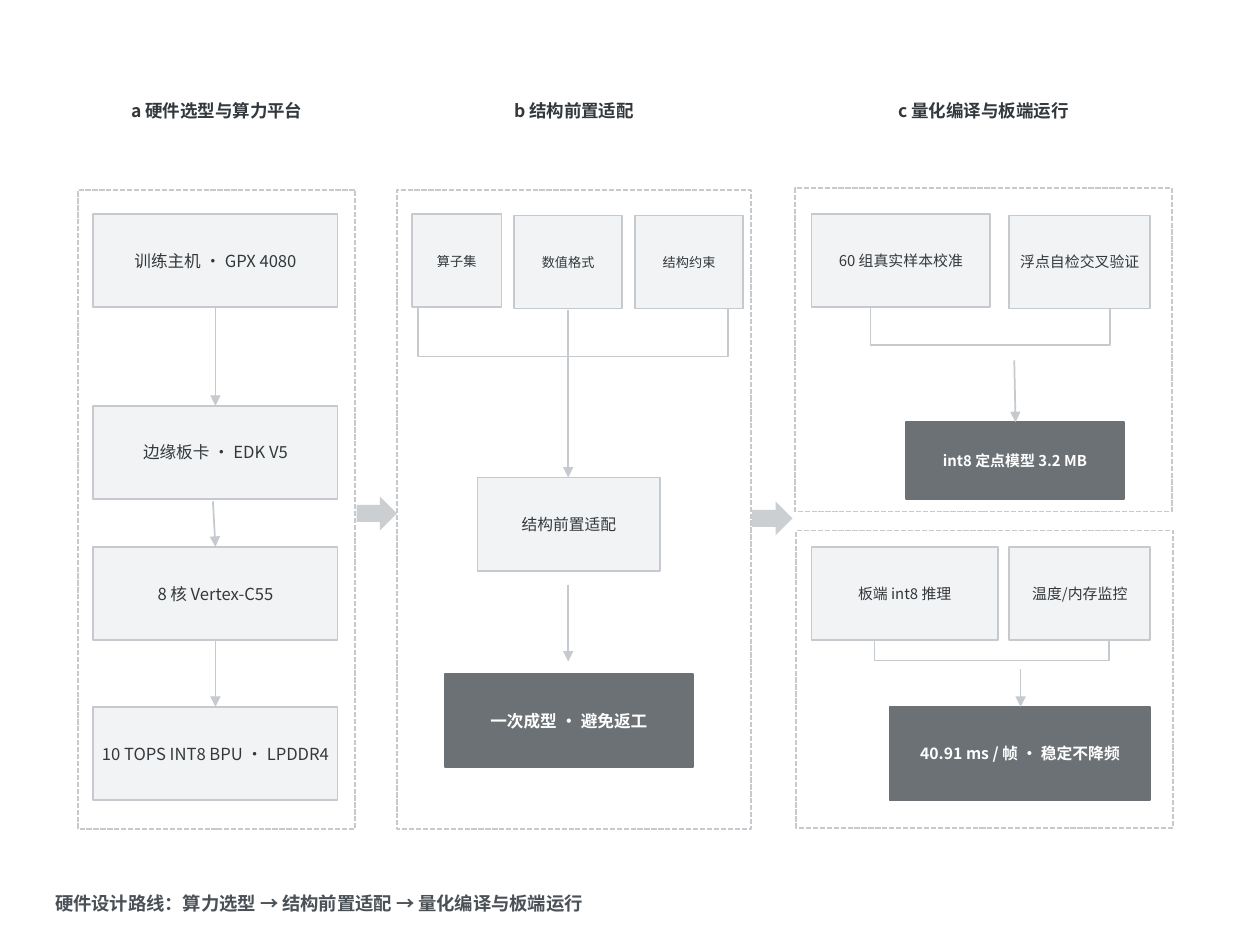
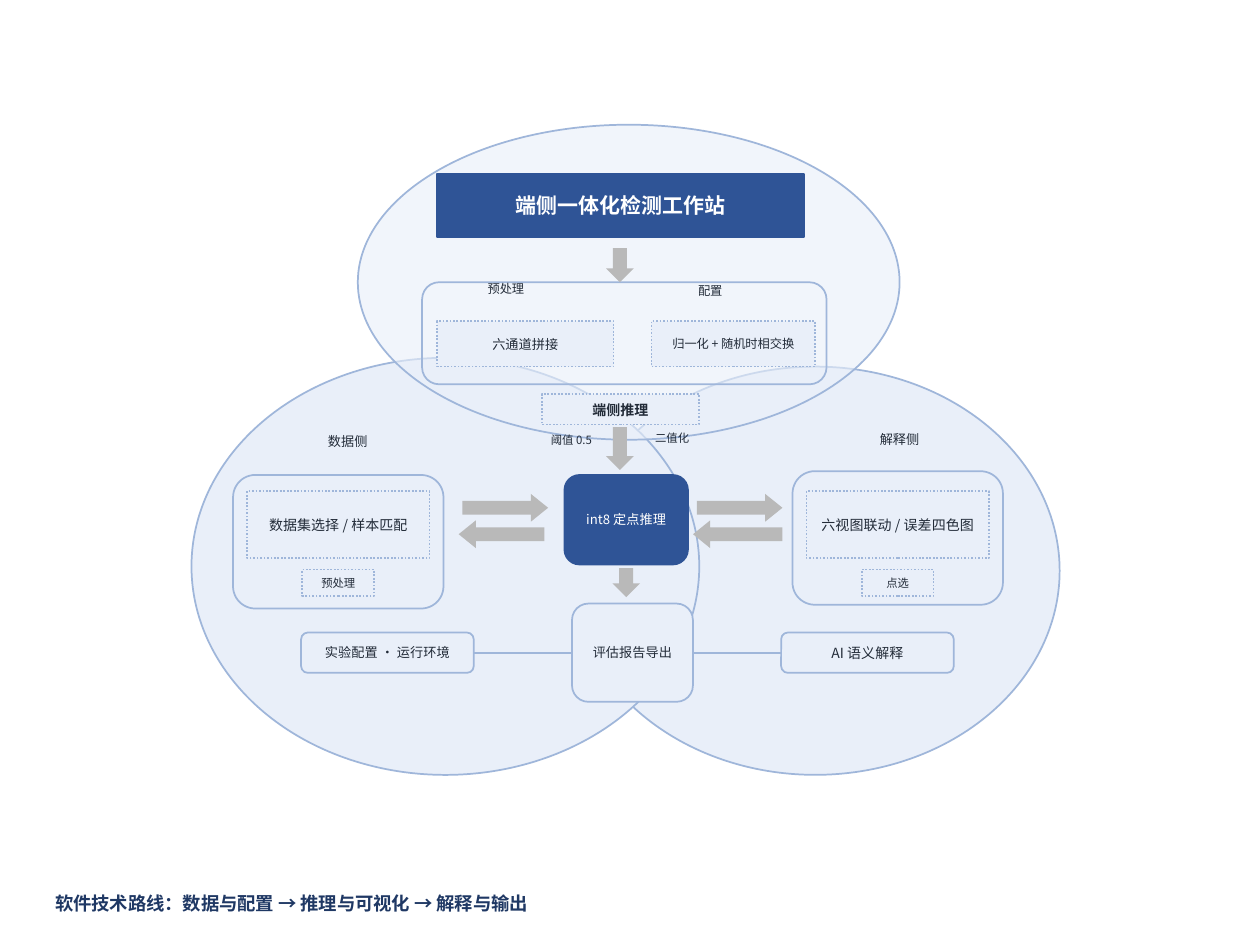
from collections import namedtuple

import pptx
import pptx.dml.color
import pptx.enum.dml
import pptx.enum.shapes
import pptx.enum.text
import pptx.oxml
import pptx.oxml.ns
import pptx.util
from lxml import etree

Inches = pptx.util.Inches
KIND = pptx.enum.shapes.MSO_SHAPE
CONNECTOR = pptx.enum.shapes.MSO_CONNECTOR
DASH = pptx.enum.dml.MSO_LINE
ALIGN = pptx.enum.text.PP_ALIGN
ANCHOR = pptx.enum.text.MSO_ANCHOR
qn = pptx.oxml.ns.qn

FONT = "Noto Sans CJK SC"
GREY_LINE, GREY_INK, GREY_ARROW = "C6CACE", "33383C", "CBCFD2"
BLUE_LINE, BLUE_INK, BLUE_ARROW = "9FB6DA", "222B38", "B9B9B9"
PALE_BLUE = "E9EFF9"

Style = namedtuple("Style", "fill line dash ink bold", defaults=(None, None, None, "FFFFFF", False))
STEP = Style("F2F3F4", GREY_LINE, ink=GREY_INK)
RESULT = Style("6B7175", "6B7175", bold=True)
FRAME = Style(line=GREY_LINE, dash=DASH.SQUARE_DOT)
BANNER = Style("2F5496", "2F5496", bold=True)
CORE = Style("2F5496", "2F5496")
AREA = Style(PALE_BLUE, BLUE_LINE, ink=BLUE_INK)
OUTLINE = Style(line=BLUE_LINE, ink=BLUE_INK)
DETAIL = Style(PALE_BLUE, BLUE_LINE, DASH.ROUND_DOT, BLUE_INK)
GREY_FLOW = Style(GREY_ARROW)
BLUE_FLOW = Style(BLUE_ARROW)


def colour(value):
    return pptx.dml.color.RGBColor.from_string(value)


def write(frame, text, size, ink, bold=False, align=ALIGN.CENTER, inset=(0, 0)):
    frame.word_wrap = True
    frame.margin_left = frame.margin_right = Inches(inset[0])
    frame.margin_top = frame.margin_bottom = Inches(inset[1])
    frame.text = text
    para = frame.paragraphs[0]
    para.alignment = align
    span = para.runs[0]
    span.font.size = pptx.util.Pt(size)
    span.font.bold = bold
    span.font.name = FONT
    span.font.color.rgb = colour(ink)
    etree.SubElement(span.font._element, qn("a:ea"), typeface=FONT)


def place(origin, box):
    """Turn a box relative to origin into slide lengths."""
    left, top, width, height = box
    return [Inches(n) for n in (origin[0] + left, origin[1] + top, width, height)]


def add_block(page, kind, origin, box, style, text=None, size=None):
    block = page.shapes.add_shape(kind, *place(origin, box))
    block.shadow.inherit = False
    if style.fill:
        block.fill.solid()
        block.fill.fore_color.rgb = colour(style.fill)
    else:
        block.fill.background()
    if style.line:
        block.line.color.rgb = colour(style.line)
        block.line.width = pptx.util.Pt(1)
        if style.dash:
            block.line.dash_style = style.dash
    else:
        block.line.fill.background()
    if text:
        block.text_frame.vertical_anchor = ANCHOR.MIDDLE
        write(block.text_frame, text, size, style.ink, style.bold)
    return block


def add_label(page, origin, box, text, size, ink, **options):
    label = page.shapes.add_textbox(*place(origin, box))
    write(label.text_frame, text, size, ink, **options)


def add_line(page, origin, start, end, ink, arrow=False, kind=CONNECTOR.STRAIGHT):
    points = [Inches(origin[i] + point[i]) for point in (start, end) for i in (0, 1)]
    line = page.shapes.add_connector(kind, *points)
    line.line.color.rgb = colour(ink)
    line.line.width = pptx.util.Pt(1)
    if arrow:
        etree.SubElement(line.line._get_or_add_ln(), qn("a:tailEnd"), type="triangle")
    etree.SubElement(line._element.spPr, qn("a:effectLst"))
    return line


def add_bracket(page, origin, left, right, top, drop):
    """Join two boxes from below: an elbow connector turned a quarter."""
    depth = 0.01
    middle, half = (left + right) / 2, (right - left) / 2
    bracket = add_line(page, origin, (middle - depth / 2, top + half),
                       (middle + depth / 2, top - half), GREY_LINE, kind=CONNECTOR.ELBOW)
    properties = bracket._element.spPr
    properties.find(qn("a:xfrm")).set("rot", str(90 * 60000))
    etree.SubElement(properties.find(".//" + qn("a:avLst")), qn("a:gd"),
                     name="adj1", fmla=f"val {round(drop / depth * 100000)}")


def add_caption(page, text, ink):
    add_label(page, (0, 0), (0.34, 7.03, 9.32, 0.34), text, 10.5, ink,
              bold=True, align=ALIGN.LEFT, inset=(0.1, 0.05))


def add_stage(page, origin, width, height, heading=None):
    add_block(page, KIND.RECTANGLE, origin, (0, 0, width, height), FRAME)
    if heading:
        add_label(page, (origin[0], 0.79), (0, 0, width, 0.6), heading, 10, GREY_INK, bold=True)


def add_steps(page, origin, steps, style=STEP):
    for box, text, size in steps:
        add_block(page, KIND.RECTANGLE, origin, box, style, text, size)


def add_arrows(page, origin, arrows):
    for start, end in arrows:
        add_line(page, origin, start, end, GREY_LINE, arrow=True)


def hardware_stage(page, origin):
    add_stage(page, origin, 2.2, 5.07, "a 硬件选型与算力平台")
    parts = {0.19: "训练主机 · GPX 4080", 1.71: "边缘板卡 · EDK V5",
             2.83: "8 核 Vertex-C55", 4.1: "10 TOPS INT8 BPU · LPDDR4"}
    add_steps(page, origin, [((0.12, top, 1.94, 0.74), text, 9.5) for top, text in parts.items()])
    add_arrows(page, origin, [((1.09, 0.93), (1.09, 1.71)), ((1.07, 2.47), (1.09, 2.83)),
                              ((1.09, 3.58), (1.09, 4.1))])


def adaptation_stage(page, origin):
    add_stage(page, origin, 2.81, 5.07, "b 结构前置适配")
    add_steps(page, origin, [
        ((0.12, 0.19, 0.71, 0.74), "算子集", 7.5),
        ((0.93, 0.2, 0.86, 0.74), "数值格式", 7.5),
        ((1.89, 0.2, 0.86, 0.74), "结构约束", 7.5),
        ((0.64, 2.28, 1.45, 0.74), "结构前置适配", 9),
    ])
    add_steps(page, origin, [((0.38, 3.84, 1.97, 0.74), "一次成型 · 避免返工", 9.5)], RESULT)
    add_bracket(page, origin, 0.17, 2.63, 0.93, 0.4)
    add_arrows(page, origin, [((1.36, 0.95), (1.36, 2.28)), ((1.36, 3.13), (1.36, 3.74))])


def quantising_stage(page, origin):
    add_stage(page, origin, 2.99, 2.57, "c 量化编译与板端运行")
    add_steps(page, origin, [((0.13, 0.21, 1.42, 0.74), "60 组真实样本校准", 8.5),
                             ((1.7, 0.22, 1.12, 0.74), "浮点自检交叉验证", 8.5)])
    add_steps(page, origin, [((0.88, 1.86, 1.73, 0.61), "int8 定点模型 3.2 MB", 8.5)], RESULT)
    add_bracket(page, origin, 0.6, 2.5, 0.95, 0.31)
    add_arrows(page, origin, [((1.74, 1.37), (1.75, 1.86))])


def board_stage(page, origin):
    add_stage(page, origin, 2.99, 2.36)
    add_steps(page, origin, [((0.12, 0.13, 1.48, 0.74), "板端 int8 推理", 8.5),
                             ((1.69, 0.13, 1.12, 0.74), "温度/内存监控", 8.5)])
    add_steps(page, origin, [((0.74, 1.4, 2.07, 0.74), "40.91 ms / 帧 · 稳定不降频", 9)], RESULT)
    add_bracket(page, origin, 0.62, 2.48, 0.87, 0.17)
    add_arrows(page, origin, [((1.78, 1.1), (1.78, 1.4))])


def hardware_page(page):
    hardware_stage(page, (0.62, 1.51))
    adaptation_stage(page, (3.15, 1.51))
    quantising_stage(page, (6.31, 1.49))
    board_stage(page, (6.32, 4.21))
    for origin in ((2.83, 3.94), (5.97, 3.98)):
        add_block(page, KIND.RIGHT_ARROW, origin, (0, 0, 0.32, 0.27), GREY_FLOW)
    add_caption(page, "硬件设计路线：算力选型 → 结构前置适配 → 量化编译与板端运行", "4A5055")


def software_areas(page, origin):
    """Three overlapping ellipses, the top one translucent."""
    for box in ((3.01, 1.92, 3.88, 3.24), (0, 1.85, 4.03, 3.31), (1.32, 0, 4.3, 2.5)):
        area = add_block(page, KIND.OVAL, origin, box, AREA)
    shade = area._element.spPr.find(qn("a:solidFill"))[0]
    etree.SubElement(shade, qn("a:alpha"), val="62000")


def workstation(page, origin):
    add_block(page, KIND.RECTANGLE, origin, (0.12, 0, 2.91, 0.5), BANNER, "端侧一体化检测工作站", 12)
    add_block(page, KIND.ROUNDED_RECTANGLE, origin, (0, 0.86, 3.21, 0.81), OUTLINE)
    add_block(page, KIND.DOWN_ARROW, origin, (1.46, 0.59, 0.22, 0.27), BLUE_FLOW)
    add_steps(page, origin, [((0.12, 1.17, 1.4, 0.36), "六通道拼接", 7.5),
                             ((1.82, 1.17, 1.3, 0.36), "归一化 + 随机时相交换", 7)], DETAIL)
    for left, top, text in ((0.52, 0.85, "预处理"), (2.19, 0.87, "配置")):
        add_label(page, origin, (left, top, 0.55, 0.3), text, 7, BLUE_INK, align=ALIGN.LEFT)


def inference(page, origin):
    add_block(page, KIND.ROUNDED_RECTANGLE, origin, (0.18, 0.64, 0.98, 0.71), CORE, "int8 定点推理", 7.5)
    add_block(page, KIND.ROUNDED_RECTANGLE, origin, (0.24, 1.66, 0.96, 0.78), AREA, "评估报告导出", 7.5)
    add_steps(page, origin, [((0, 0, 1.25, 0.24), "端侧推理", 8)], DETAIL._replace(bold=True))
    for box in ((0.51, 0.26, 0.22, 0.34), (0.56, 1.38, 0.22, 0.23)):
        add_block(page, KIND.DOWN_ARROW, origin, box, BLUE_FLOW)
    for left, top, text in ((0, 0.31, "阈值 0.5"), (0.8, 0.29, "二值化")):
        add_label(page, origin, (left, top, 0.47, 0.27), text, 6.5, BLUE_INK)


def exchange(page, origin, back_width):
    """A pair of arrows, out and back."""
    for kind, box in ((KIND.RIGHT_ARROW, (0.03, 0, 0.68, 0.22)),
                      (KIND.LEFT_ARROW, (0, 0.21, back_width, 0.22))):
        arrow = add_block(page, kind, origin, box, BLUE_FLOW)
        arrow.adjustments[0], arrow.adjustments[1] = 0.5, 0.62


def side(page, origin, heading, heading_box, main, action, drop):
    """One side's panel; drop lowers its inner boxes."""
    add_label(page, origin, heading_box, heading, 7.5, BLUE_INK)
    add_block(page, KIND.ROUNDED_RECTANGLE, origin, (0, 0, 1.67, 1.06), OUTLINE)
    add_steps(page, origin, [((0.11, drop, 1.45, 0.53), main, 8),
                             ((0.55, drop + 0.62, 0.57, 0.21), action, 6.5)], DETAIL)


def outputs(page, origin):
    for left, text, size, start, end in ((0, "实验配置 · 运行环境", 7.5, 1.37, 2.15),
                                         (3.81, "AI 语义解释", 8, 3.11, 3.81)):
        add_block(page, KIND.ROUNDED_RECTANGLE, origin, (left, 0, 1.37, 0.32), OUTLINE, text, size)
        add_line(page, origin, (start, 0.16), (end, 0.16), BLUE_LINE)


def software_page(page):
    software_areas(page, (1.52, 0.99))
    workstation(page, (3.35, 1.38))
    inference(page, (4.3, 3.13))
    exchange(page, (3.64, 3.92), 0.68)
    exchange(page, (5.5, 3.92), 0.71)
    side(page, (1.85, 3.77), "数据侧", (0.64, -0.33, 0.54, 0.27),
         "数据集选择 / 样本匹配", "预处理", 0.13)
    side(page, (6.29, 3.74), "解释侧", (0.58, -0.32, 0.54, 0.27),
         "六视图联动 / 误差四色图", "点选", 0.16)
    outputs(page, (2.39, 5.02))
    add_caption(page, "软件技术路线：数据与配置 → 推理与可视化 → 解释与输出", "1F3864")


def main():
    deck = pptx.Presentation()
    deck.slide_width, deck.slide_height = Inches(10), Inches(7.5)
    for build in (hardware_page, software_page):
        build(deck.slides.add_slide(deck.slide_layouts[6]))
    deck.save("out.pptx")


if __name__ == "__main__":
    main()
